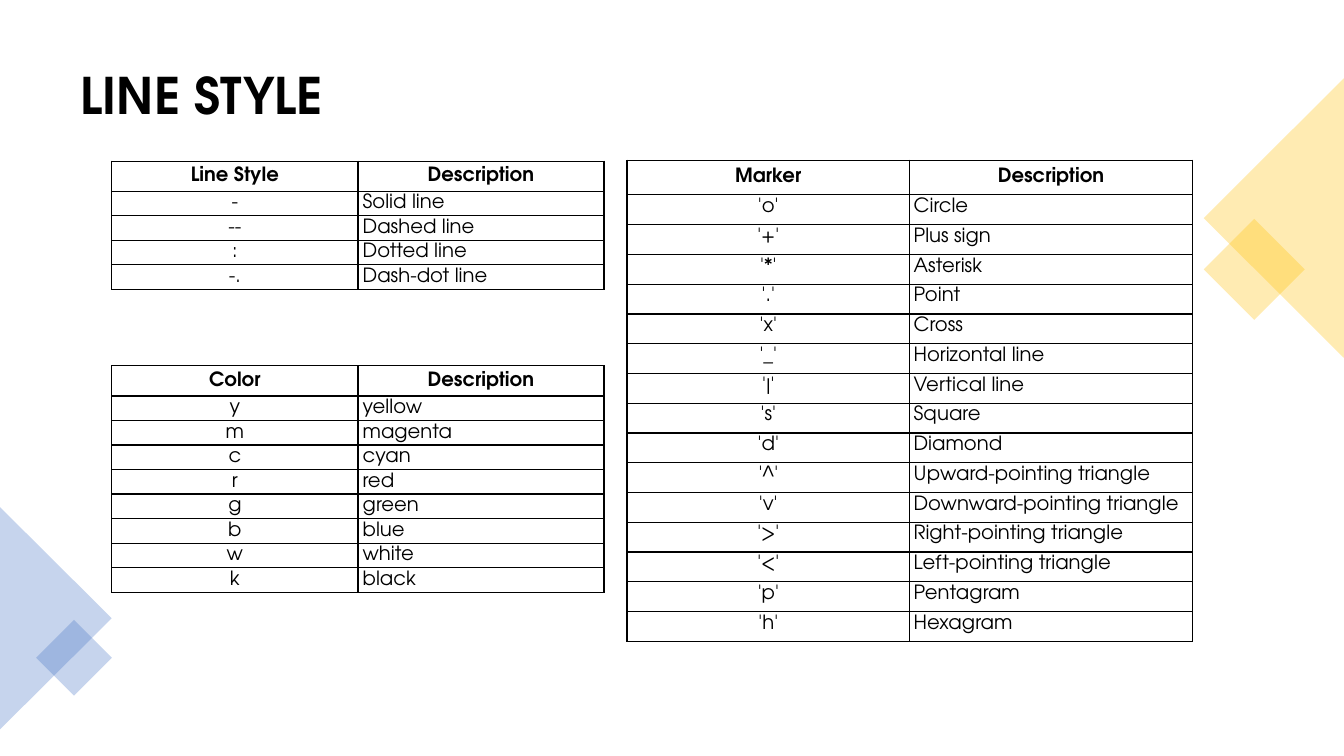
import pptx
import pptx.util
import pptx.dml.color
import pptx.enum.shapes
import pptx.enum.text
import pptx.oxml
import pptx.oxml.ns

Cm = pptx.util.Cm
Pt = pptx.util.Pt
Shape = pptx.enum.shapes.MSO_SHAPE
Align = pptx.enum.text.PP_ALIGN
Anchor = pptx.enum.text.MSO_ANCHOR

FONT = "TeX Gyre Adventor"
COLORS = {"paper": "FFFFFF", "ink": "000000", "gold": "FFC000", "blue": "4472C4"}

LINE_STYLES = [
    ("Line Style", "Description"),
    ("-", "Solid line"), ("--", "Dashed line"),
    (":", "Dotted line"), ("-.", "Dash-dot line"),
]
MARKERS = [
    ("Marker", "Description"),
    ("'o'", "Circle"), ("'+'", "Plus sign"), ("'*'", "Asterisk"),
    ("'.'", "Point"), ("'x'", "Cross"), ("'_'", "Horizontal line"),
    ("'|'", "Vertical line"), ("'s'", "Square"), ("'d'", "Diamond"),
    ("'^'", "Upward-pointing triangle"), ("'v'", "Downward-pointing triangle"),
    ("'>'", "Right-pointing triangle"), ("'<'", "Left-pointing triangle"),
    ("'p'", "Pentagram"), ("'h'", "Hexagram"),
]
LINE_COLORS = [
    ("Color", "Description"),
    ("y", "yellow"), ("m", "magenta"), ("c", "cyan"), ("r", "red"),
    ("g", "green"), ("b", "blue"), ("w", "white"), ("k", "black"),
]


def color(name):
    return pptx.dml.color.RGBColor.from_string(COLORS[name])


def write(frame, text, size=14, bold=False, align=Align.LEFT, **spacing):
    """Put one formatted paragraph in a text frame."""
    para = frame.paragraphs[0]
    para.alignment = align
    for name, value in spacing.items():
        setattr(para, name, value)
    span = para.add_run()
    span.text = text
    span.font.name = FONT
    span.font.size = Pt(size)
    span.font.bold = bold
    span.font.color.rgb = color("ink")


def add_title(page, text, left, top, width, height):
    title = page.shapes.title
    title.left, title.top = Cm(left), Cm(top)
    title.width, title.height = Cm(width), Cm(height)
    title.text_frame.vertical_anchor = Anchor.MIDDLE
    write(title.text_frame, text, size=36, bold=True,
          line_spacing=0.9, space_before=Pt(0), space_after=Pt(6))


def add_ornament(page, kind, fill, turn, left, top, width, height):
    """Draw a turned, see-through shape without outline."""
    shape = page.shapes.add_shape(kind, Cm(left), Cm(top), Cm(width), Cm(height))
    shape.shadow.inherit = False
    shape.rotation = turn
    shape.line.fill.background()
    shape.fill.solid()
    shape.fill.fore_color.rgb = color(fill)
    tint = shape.fill._xPr.find(".//" + pptx.oxml.ns.qn("a:srgbClr"))
    tint.append(pptx.oxml.parse_xml(
        f'<a:alpha {pptx.oxml.ns.nsdecls("a")} val="30000"/>'))


def add_borders(cell):
    properties = cell._tc.get_or_add_tcPr()
    for position, side in enumerate(("lnL", "lnR", "lnT", "lnB")):
        properties.insert(position, pptx.oxml.parse_xml(
            f'<a:{side} {pptx.oxml.ns.nsdecls("a")} w="12700"><a:solidFill>'
            f'<a:srgbClr val="{COLORS["ink"]}"/></a:solidFill></a:{side}>'))


def add_reference_table(page, entries, left, top, width, height,
                        head_height, row_height, side, head_inset):
    """Draw a bordered symbol/description table in the given box."""
    table = page.shapes.add_table(len(entries), 2, Cm(left), Cm(top),
                                  Cm(width), Cm(height)).table
    table.horz_banding = False
    for column in table.columns:
        column.width = Cm(width / 2)
    for row_index, entry in enumerate(entries):
        head = row_index == 0
        table.rows[row_index].height = Cm(head_height if head else row_height)
        for column_index, text in enumerate(entry):
            cell = table.cell(row_index, column_index)
            cell.fill.background()
            cell.margin_left = cell.margin_right = Cm(side)
            cell.margin_top = cell.margin_bottom = Cm(head_inset if head else 0.08)
            cell.vertical_anchor = Anchor.MIDDLE if head else Anchor.TOP
            centred = head or column_index == 0
            write(cell.text_frame, text, bold=head,
                  align=Align.CENTER if centred else Align.LEFT)
            add_borders(cell)


def build_page(deck):
    page = deck.slides.add_slide(deck.slide_layouts[5])
    page.background.fill.solid()
    page.background.fill.fore_color.rgb = color("paper")
    add_title(page, "LINE STYLE", 1.78, 0.89, 30.3, 3.15)

    # Corner ornaments
    add_ornament(page, Shape.RECTANGLE, "gold", 45, 30.71, 5.89, 1.8, 1.8)
    add_ornament(page, Shape.ISOSCELES_TRIANGLE, "gold", 270, 28.58, 3.73, 7.04, 3.53)
    add_ornament(page, Shape.ISOSCELES_TRIANGLE, "blue", 90, -1.4, 14.17, 5.61, 2.82)
    add_ornament(page, Shape.RECTANGLE, "blue", 45, 1.19, 15.9, 1.35, 1.35)

    # Reference tables; rows of no height shrink to their text
    compact = {"head_height": 0, "row_height": 0, "side": 0.12, "head_inset": 0.15}
    add_reference_table(page, LINE_STYLES, 2.82, 4.06, 12.4, 3.91, **compact)
    add_reference_table(page, MARKERS, 15.8, 4.04, 14.25, 12.09, head_height=0.87,
                        row_height=0.75, side=0.1, head_inset=0.13)
    add_reference_table(page, LINE_COLORS, 2.82, 9.22, 12.4, 6.93, **compact)


def main():
    deck = pptx.Presentation()
    deck.slide_width, deck.slide_height = Cm(33.87), Cm(19.05)
    build_page(deck)
    deck.save("out.pptx")


if __name__ == "__main__":
    main()
